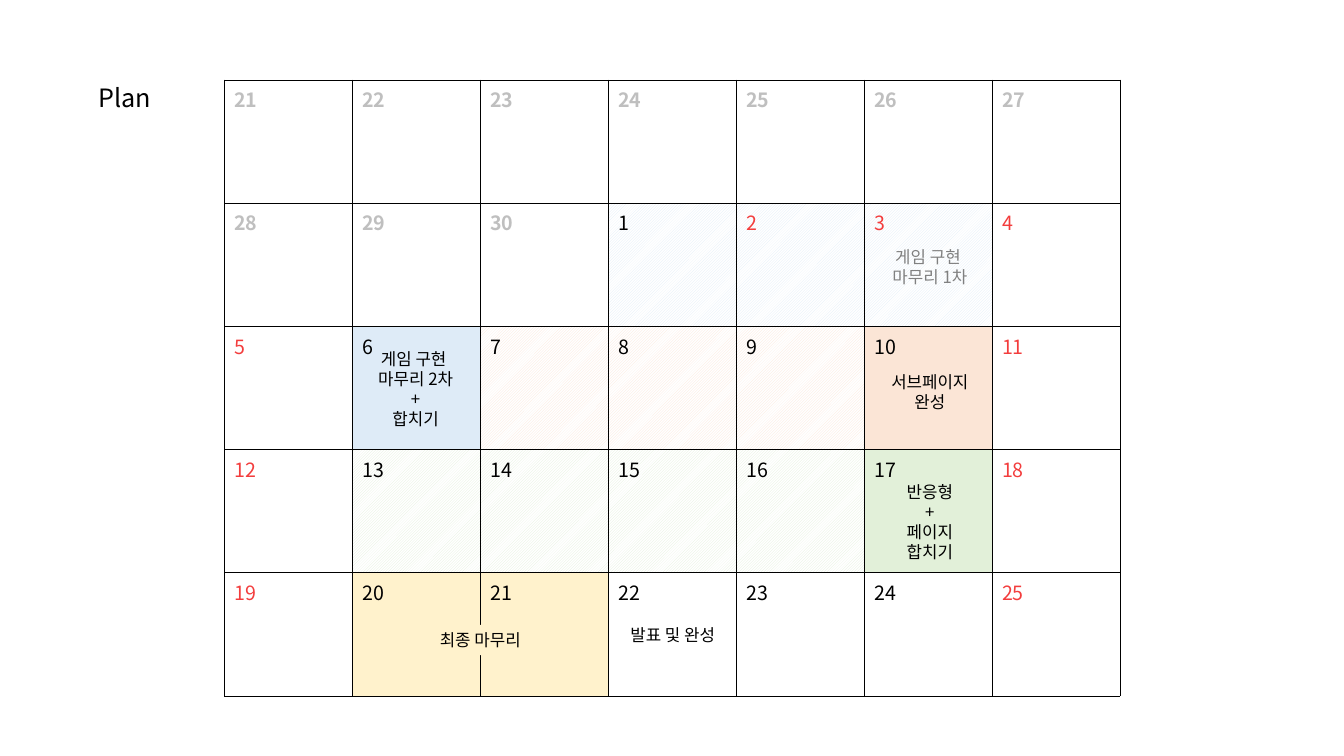
from dataclasses import dataclass

from lxml.etree import SubElement
from pptx import Presentation
from pptx.dml.color import RGBColor as Rgb
from pptx.enum.dml import MSO_PATTERN as Pattern
from pptx.enum.shapes import MSO_SHAPE as Shape
from pptx.enum.text import MSO_AUTO_SIZE as AutoSize, PP_ALIGN as Align
from pptx.oxml import parse_xml
from pptx.oxml.ns import nsdecls, qn
from pptx.util import Cm, Pt


@dataclass(frozen=True)
class Theme:
    font: str = "Noto Sans CJK KR"
    black: str = "000000"
    white: str = "FFFFFF"
    muted: str = "BFBFBF"
    grey: str = "808080"
    red: str = "F33D3D"
    blue: str = "DEEBF7"
    orange: str = "FBE5D6"
    green: str = "E2F0D9"
    yellow: str = "FFF2CC"
    title: float = 18
    date: float = 14
    note: float = 12
    border: float = 0.25


THEME = Theme()

# Calendar rules: the grid opens on the 21st of a 30-day month
WEEKS, DAYS = 5, 7
FIRST_DATE, PREVIOUS_LENGTH = 21, 30
HOLIDAYS = {2, 3}
HATCHED = [(range(1, 4), THEME.blue), (range(7, 10), THEME.orange),
           (range(13, 17), THEME.green)]
SOLID = {6: THEME.blue, 10: THEME.orange, 17: THEME.green,
         20: THEME.yellow, 21: THEME.yellow}

# Left, top, width, height in centimetres, then lines and text colour
NOTES = [
    (22.1, 6.1, 2.67, 1.27, ["게임 구현 ", "마무리 1차"], THEME.grey),
    (22.1, 9.25, 2.67, 1.27, ["서브페이지 완성"], THEME.black),
    (9.14, 8.66, 2.67, 2.31, ["게임 구현 ", "마무리 2차", "+", "합치기"], THEME.black),
    (22, 12.01, 2.87, 1.8, ["반응형", "+", "페이지 합치기"], THEME.black),
    (15.52, 15.62, 2.87, 0.76, ["발표 및 완성"], THEME.black),
]


class PlanSlide:
    def __init__(self, deck, theme):
        self.theme = theme
        self.slide = deck.slides.add_slide(deck.slide_layouts[6])

    def style(self, para, size, color, bold=False):
        font = para.font
        font.size, font.bold, font.name = Pt(size), bold, self.theme.font
        font.color.rgb = Rgb.from_string(color)
        defaults = para._p.pPr.find(qn("a:defRPr"))
        SubElement(defaults, qn("a:ea")).set("typeface", self.theme.font)

    def set_lines(self, frame, lines, size, color, align):
        frame.word_wrap = True
        frame.auto_size = AutoSize.SHAPE_TO_FIT_TEXT
        for index, line in enumerate(lines):
            para = frame.add_paragraph() if index else frame.paragraphs[0]
            para.text, para.alignment = line, align
            self.style(para, size, color)

    def text(self, left, top, width, height, lines, size, color, align=Align.CENTER):
        box = self.slide.shapes.add_textbox(Cm(left), Cm(top), Cm(width), Cm(height))
        self.set_lines(box.text_frame, lines, size, color, align)

    def label(self, left, top, width, height, lines, fill):
        box = self.slide.shapes.add_shape(
            Shape.RECTANGLE, Cm(left), Cm(top), Cm(width), Cm(height))
        box.shadow.inherit = False
        box.fill.solid()
        box.fill.fore_color.rgb = Rgb.from_string(fill)
        box.line.fill.background()
        self.set_lines(box.text_frame, lines, self.theme.note, self.theme.black, Align.CENTER)

    def fill_cell(self, cell, day):
        hatch = next((color for days, color in HATCHED if day in days), None)
        if hatch:
            cell.fill.patterned()
            cell.fill.pattern = Pattern.DARK_UPWARD_DIAGONAL
            cell.fill.fore_color.rgb = Rgb.from_string(hatch)
            cell.fill.back_color.rgb = Rgb.from_string(self.theme.white)
        else:
            cell.fill.solid()
            cell.fill.fore_color.rgb = Rgb.from_string(SOLID.get(day, self.theme.white))

    def border_cell(self, cell):
        properties = cell._tc.get_or_add_tcPr()
        for index, side in enumerate("LRTB"):
            properties.insert(index, parse_xml(
                f'<a:ln{side} {nsdecls("a")} w="{Pt(self.theme.border)}"><a:solidFill>'
                f'<a:srgbClr val="{self.theme.black}"/></a:solidFill></a:ln{side}>'))

    def calendar(self, left, top, width, height):
        table = self.slide.shapes.add_table(
            WEEKS, DAYS, Cm(left), Cm(top), Cm(width), Cm(height)).table
        table.first_row = table.horz_banding = False
        for index, cell in enumerate(table.iter_cells()):
            day = FIRST_DATE + index - PREVIOUS_LENGTH
            previous = day < 1
            weekend = index % DAYS in (0, DAYS - 1)
            if previous:
                color = self.theme.muted
            elif weekend or day in HOLIDAYS:
                color = self.theme.red
            else:
                color = self.theme.black
            cell.text = str(day + PREVIOUS_LENGTH if previous else day)
            self.style(cell.text_frame.paragraphs[0], self.theme.date, color, previous)
            self.fill_cell(cell, day)
            self.border_cell(cell)


def main():
    deck = Presentation()
    deck.slide_width, deck.slide_height = Cm(33.87), Cm(19.05)
    page = PlanSlide(deck, THEME)

    # Title and calendar
    page.text(2.24, 1.96, 11.3, 1.02, ["Plan"], THEME.title, THEME.black, Align.LEFT)
    page.calendar(5.65, 2.01, 22.58, 15.52)

    # Tasks on the calendar
    for left, top, width, height, lines, color in NOTES:
        page.text(left, top, width, height, lines, THEME.note, color)
    page.label(10.77, 15.75, 2.67, 0.76, ["최종 마무리"], THEME.yellow)

    deck.save("out.pptx")


if __name__ == "__main__":
    main()
